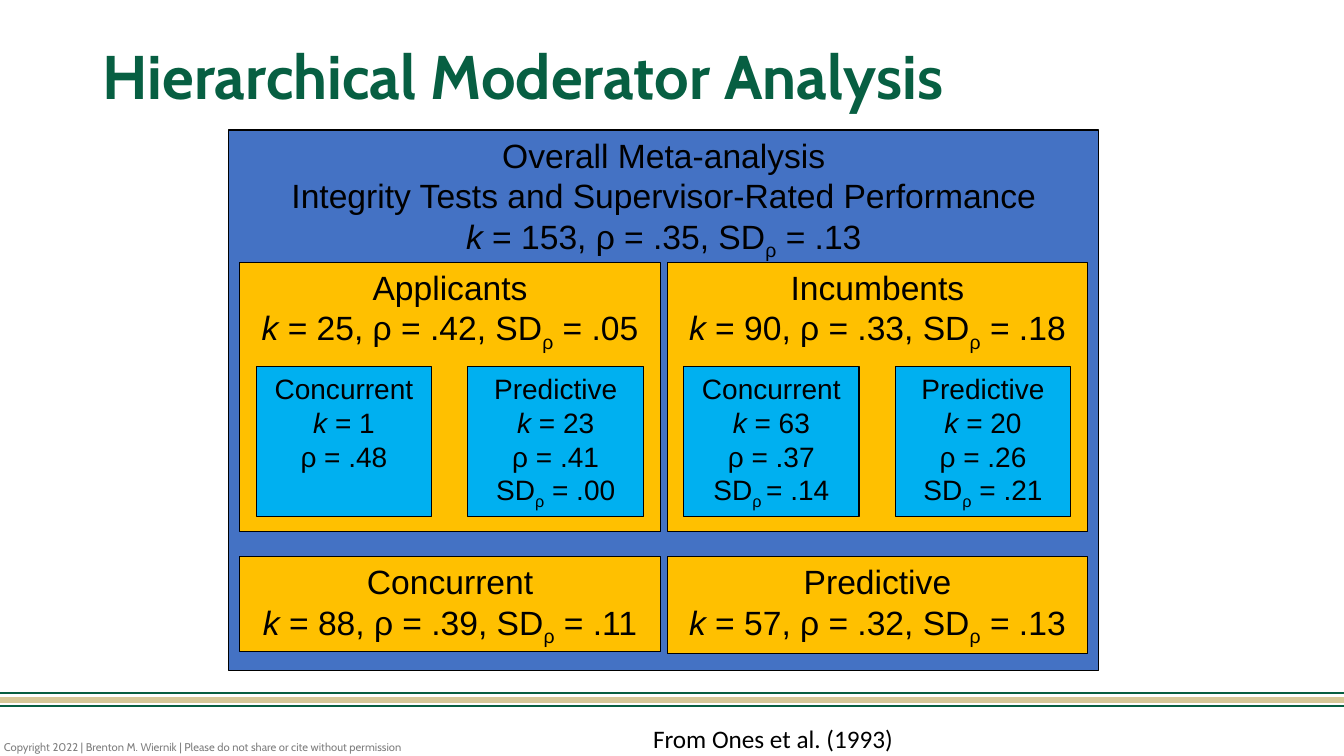
from dataclasses import dataclass

from pptx import Presentation
from pptx import util as u
from pptx.dml import color
from pptx.enum import shapes, text


@dataclass(frozen=True)
class Theme:
    green: str = "075F42"
    sand: str = "D6C898"
    blue: str = "4472C4"
    gold: str = "FFC000"
    sky: str = "00B0F0"
    black: str = "000000"
    grey: str = "808080"
    brand: str = "Cabin"
    body: str = "Arial"
    plain: str = "Calibri"
    title: int = 44
    large: int = 24
    small: int = 20
    cite: int = 18
    foot: int = 8


class Board:
    """Draws on one slide, with lengths in cells of a 160 by 90 grid."""
    cols, rows = 160, 90

    def __init__(self, deck, theme):
        self.theme = theme
        self.cell_w = deck.slide_width / self.cols
        self.cell_h = deck.slide_height / self.rows
        self.slide = deck.slides.add_slide(deck.slide_layouts[6])

    def place(self, x, y, w, h):
        return (round(x * self.cell_w), round(y * self.cell_h),
                round(w * self.cell_w), round(h * self.cell_h))

    def rect(self, area, fill, edge, width):
        box = self.slide.shapes.add_shape(
            shapes.MSO_SHAPE.RECTANGLE, *self.place(*area))
        box.shadow.inherit = False
        box.fill.solid()
        box.fill.fore_color.rgb = color.RGBColor.from_string(fill)
        box.line.color.rgb = color.RGBColor.from_string(edge)
        box.line.width = u.Pt(width)
        return box

    def letter(self, frame, lines, style, tint, align=text.PP_ALIGN.LEFT,
               anchor=text.MSO_ANCHOR.TOP, space=1.0):
        """Set lines of text; ~ parts runs, * marks italics, _ a subscript."""
        frame.word_wrap = True
        frame.vertical_anchor = anchor
        for i, line in enumerate(lines):
            para = frame.add_paragraph() if i else frame.paragraphs[0]
            para.alignment = align
            para.line_spacing = space
            for part in line.split("~"):
                run = para.add_run()
                run.text = part.lstrip("*_")
                for key, value in style.items():
                    setattr(run.font, key, value)
                run.font.color.rgb = color.RGBColor.from_string(tint)
                if part.startswith("*"):
                    run.font.italic = True
                if part.startswith("_"):
                    run.font._element.set("baseline", "-25000")

    def label(self, area, words, font, size, tint, bold=False, **layout):
        box = self.slide.shapes.add_textbox(*self.place(*area))
        style = {"name": font, "size": u.Pt(size), "bold": bold}
        self.letter(box.text_frame, [words], style, tint, **layout)

    def panel(self, area, fill, size, lines):
        t = self.theme
        box = self.rect(area, fill, t.black, 0.75)
        style = {"name": t.body, "size": u.Pt(size)}
        self.letter(box.text_frame, lines, style, t.black,
                    align=text.PP_ALIGN.CENTER)


def stats(k, rho, dev):
    return f"*k ~= {k}, ρ = {rho}, SD~_ρ~ = {dev}"


def main():
    deck = Presentation()
    deck.slide_width, deck.slide_height = u.Inches(13.333), u.Inches(7.5)
    t = Theme()
    board = Board(deck, t)

    # Footer bands and note
    for y, h, fill in ((84, 0.12, t.green), (83.04, 0.6, t.sand),
                       (82.44, 0.12, t.green)):
        board.rect((0, y, board.cols, h), fill, fill, 1)
    board.label((-0.72, 87.6, 56.52, 2.88),
                "Copyright 2022 | Brenton M. Wiernik | "
                "Please do not share or cite without permission",
                t.brand, t.foot, t.grey)

    # Title
    board.label((11.04, 4.8, 138, 9.36), "Hierarchical Moderator Analysis",
                t.brand, t.title, t.green, bold=True,
                anchor=text.MSO_ANCHOR.MIDDLE, space=0.9)

    # Overall analysis
    board.panel((27.24, 15.48, 103.56, 64.32), t.blue, t.large,
                ["Overall Meta-analysis",
                 "Integrity Tests and Supervisor-Rated Performance",
                 stats(153, ".35", ".13")])

    # Samples, each split by study design
    left, step, wide = 28.56, 50.88, 50.04
    samples = (
        ("Applicants", (25, ".42", ".05"),
         (("Concurrent", 1, ".48", None),
          ("Predictive", 23, ".41", "SD~_ρ~ = .00"))),
        ("Incumbents", (90, ".33", ".18"),
         (("Concurrent", 63, ".37", "SD~_ρ ~= .14"),
          ("Predictive", 20, ".26", "SD~_ρ~ = .21"))),
    )
    for i, (name, values, designs) in enumerate(samples):
        x = left + i * step
        board.panel((x, 31.2, wide, 32.04), t.gold, t.large,
                    [name, stats(*values)])
        for j, (design, k, rho, dev) in enumerate(designs):
            lines = [design, f"*k ~= {k}", f"ρ = {rho}"]
            board.panel((x + 1.95 + j * 25.2, 43.68, 20.88, 17.76),
                        t.sky, t.small, lines + ([dev] if dev else []))

    # Study designs across samples
    totals = (("Concurrent", (88, ".39", ".11"), 11.28),
              ("Predictive", (57, ".32", ".13"), 11.52))
    for i, (name, values, high) in enumerate(totals):
        board.panel((left + i * step, 66.24, wide, high), t.gold, t.large,
                    [name, stats(*values)])

    # Citation
    board.label((76.56, 85.56, 43.32, 4.8), "From Ones et al. (1993)",
                t.plain, t.cite, t.black)

    deck.save("out.pptx")


if __name__ == "__main__":
    main()
